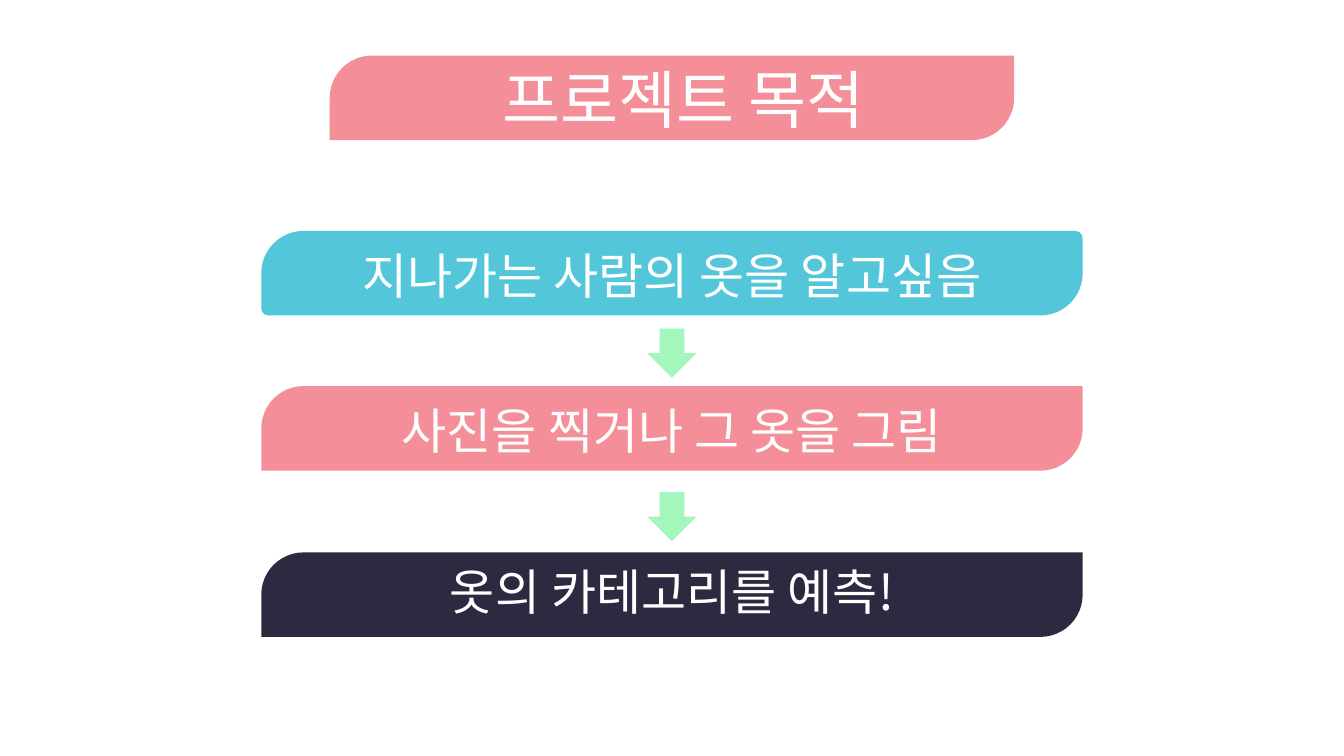
"""Builds the project purpose slide: a title banner above three steps joined by arrows."""
import pptx
import pptx.dml.color
import pptx.enum.shapes
import pptx.enum.text
import pptx.oxml.ns
import pptx.util
from pptx.util import Cm

SHAPES = pptx.enum.shapes.MSO_SHAPE
FONT = "Noto Sans CJK KR"
PINK, CYAN, NAVY, MINT, WHITE = "F48E99", "53C7D9", "2D2941", "A3F7BD", "FFFFFF"
SLIDE_WIDTH, SLIDE_HEIGHT = 33.87, 19.05
BANNER_HEIGHT, ARROW_SIZE = 2.13, 1.24
STEPS = [
    ("지나가는 사람의 옷을 알고싶음", CYAN, 0.086, 5.82, 6.05),
    ("사진을 찍거나 그 옷을 그림", PINK, 0, 9.73, 9.96),
    ("옷의 카테고리를 예측!", NAVY, 0, 13.92, 14.02),
]
ARROW_TOPS = [8.28, 12.4]


def color(code):
    """Return the colour for a hex string."""
    return pptx.dml.color.RGBColor.from_string(code)


def apply_format(target, values):
    """Set every attribute named in a dict of format values."""
    for name, value in values.items():
        setattr(target, name, value)


def add_figure(slide, preset, left, top, width, height, fill):
    """Add a flat preset shape without an outline."""
    figure = slide.shapes.add_shape(preset, Cm(left), Cm(top), Cm(width), Cm(height))
    figure.shadow.inherit = False
    figure.fill.solid()
    figure.fill.fore_color.rgb = color(fill)
    figure.line.fill.background()
    return figure


def add_banner(slide, top, width, fill, minor_corner=0):
    """Add a centred banner with two opposite corners rounded."""
    left = (SLIDE_WIDTH - width) / 2
    banner = add_figure(slide, SHAPES.ROUND_2_DIAG_RECTANGLE,
                        left, top, width, BANNER_HEIGHT, fill)
    banner.adjustments[0] = 0.5
    banner.adjustments[1] = minor_corner


def add_arrow(slide, top):
    """Add a centred arrow that points to the next step."""
    left = (SLIDE_WIDTH - ARROW_SIZE) / 2
    add_figure(slide, SHAPES.DOWN_ARROW, left, top, ARROW_SIZE, ARROW_SIZE, MINT)


def add_caption(slide, wording, left, top, width, height, size):
    """Add one line of centred white text."""
    caption = slide.shapes.add_textbox(Cm(left), Cm(top), Cm(width), Cm(height))
    frame = caption.text_frame
    apply_format(frame, {
        "word_wrap": True,
        "auto_size": pptx.enum.text.MSO_AUTO_SIZE.SHAPE_TO_FIT_TEXT,
    })
    paragraph = frame.paragraphs[0]
    paragraph.alignment = pptx.enum.text.PP_ALIGN.CENTER
    run = paragraph.add_run()
    run.text = wording
    apply_format(run.font, {"name": FONT, "size": pptx.util.Pt(size)})
    run.font.color.rgb = color(WHITE)
    east_asian = run.font._element.makeelement(pptx.oxml.ns.qn("a:ea"), {"typeface": FONT})
    run.font._element.append(east_asian)


def main():
    """Build the slide and save it."""
    deck = pptx.Presentation()
    apply_format(deck, {"slide_width": Cm(SLIDE_WIDTH), "slide_height": Cm(SLIDE_HEIGHT)})
    slide = deck.slides.add_slide(deck.slide_layouts[6])
    add_banner(slide, 1.4, 17.25, PINK)
    add_caption(slide, "프로젝트 목적", 11.07, 1.4, 12.29, 2.18, 45)
    for wording, fill, minor_corner, banner_top, caption_top in STEPS:
        add_banner(slide, banner_top, 20.7, fill, minor_corner)
        add_caption(slide, wording, 7.65, caption_top, 18.57, 1.8, 35)
    for top in ARROW_TOPS:
        add_arrow(slide, top)
    deck.save("out.pptx")


if __name__ == "__main__":
    main()
